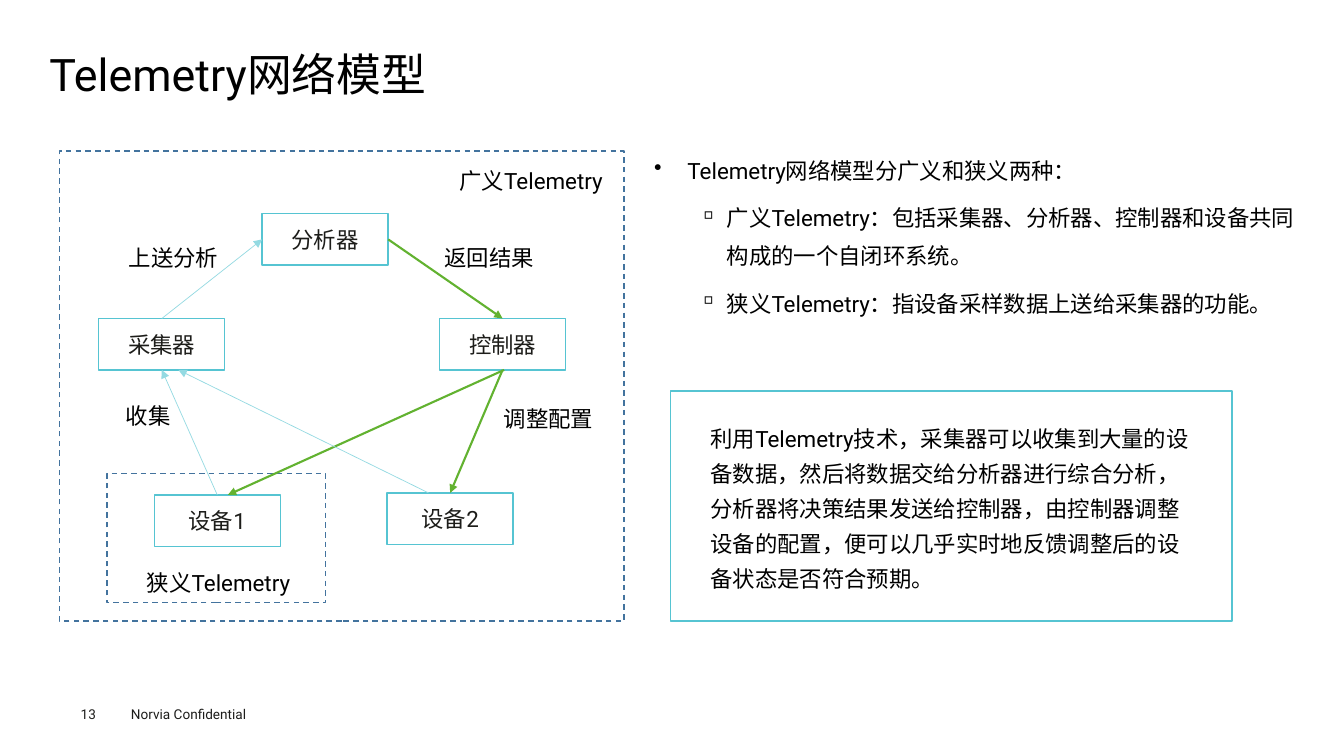
from lxml import etree
from pptx import Presentation
from pptx import util as u
from pptx.dml.color import RGBColor
from pptx.enum import dml, shapes, text
from pptx.oxml.ns import qn

FONT = "Roboto"
COLORS = {
    "text": "000000",
    "node_text": "1D1D1A",
    "footer": "1D1D1B",
    "scope": "43739E",
    "box": "56C4D2",
    "report": "94DAE2",
    "control": "62B230",
}
NODE_SIZE = (1.25, 0.51)
NODES = {
    "分析器": (2.6, 2.12),
    "控制器": (4.36, 3.16),
    "采集器": (0.98, 3.16),
    "设备1": (1.53, 4.91),
    "设备2": (3.84, 4.89),
}
TOP, LEFT, BOTTOM, RIGHT = range(4)
FLOWS = [
    (("采集器", TOP), ("分析器", LEFT), "report", 0.5),
    (("分析器", RIGHT), ("控制器", TOP), "control", 1.5),
    ((5, 3.67), (2.26, 4.91), "control", 1.5),
    (("控制器", BOTTOM), ("设备2", TOP), "control", 1.5),
    (("设备1", TOP), ("采集器", BOTTOM), "report", 0.5),
    ((4.25, 4.89), (1.77, 3.67), "report", 0.5),
]
SCOPES = [(0.59, 1.5, 5.6, 4.66), (1.06, 4.7, 2.17, 1.28)]
LABELS = [
    ("广义Telemetry", 4.46, 1.61, 2.03),
    ("狭义Telemetry", 1.36, 5.6, 2.03),
    ("收集", 1.15, 3.94, 1.91),
    ("上送分析", 1.18, 2.37, 1.91),
    ("返回结果", 4.31, 2.37, 1.91),
    ("调整配置", 4.9, 3.97, 1.91),
]
BULLETS = [
    (0, "Telemetry网络模型分广义和狭义两种："),
    (1, "广义Telemetry：包括采集器、分析器、控制器和设备共同构成的一个自闭环系统。"),
    (1, "狭义Telemetry：指设备采样数据上送给采集器的功能。"),
]
BULLET_STYLES = [("•", 0.33, -0.33), ("▫", 0.72, -0.28)]
SUMMARY = (
    "利用Telemetry技术，采集器可以收集到大量的设备数据，然后将数据交给分析器进行综合分析，"
    "分析器将决策结果发送给控制器，由控制器调整设备的配置，"
    "便可以几乎实时地反馈调整后的设备状态是否符合预期。"
)
NO_INSETS = dict.fromkeys(("margin_left", "margin_top", "margin_right", "margin_bottom"), 0)


def apply(obj, values):
    for name, value in values.items():
        setattr(obj, name, value)


def inches(values):
    return [u.Inches(v) for v in values]


def rgb(name):
    return RGBColor.from_string(COLORS[name])


def write(p, content, size=16, color="text", **paragraph):
    apply(p, paragraph)
    r = p.add_run()
    r.text = content
    apply(r.font, {"name": FONT, "size": u.Pt(size)})
    r.font.color.rgb = rgb(color)


def add_text(slide, box, content, frame=None, **style):
    tf = slide.shapes.add_textbox(*inches(box)).text_frame
    apply(tf, {"word_wrap": True, **(frame or {})})
    write(tf.paragraphs[0], content, **style)


def add_box(slide, box, color, dash=None):
    sp = slide.shapes.add_shape(shapes.MSO_SHAPE.RECTANGLE, *inches(box))
    sp.shadow.inherit = False
    sp.fill.background()
    sp.line.color.rgb = rgb(color)
    apply(sp.line, {"width": u.Pt(1), "dash_style": dash})
    return sp


def add_node(slide, name, position):
    sp = add_box(slide, (*position, *NODE_SIZE), "box")
    tf = sp.text_frame
    apply(tf, {**NO_INSETS, "vertical_anchor": text.MSO_ANCHOR.MIDDLE})
    write(tf.paragraphs[0], name, color="node_text", alignment=text.PP_ALIGN.CENTER)
    return sp


def add_flow(slide, nodes, start, end, color, width):
    points = [(0, 0) if e[0] in nodes else e for e in (start, end)]
    line = slide.shapes.add_connector(
        shapes.MSO_CONNECTOR.STRAIGHT, *inches(points[0] + points[1]))
    for e, connect in ((start, line.begin_connect), (end, line.end_connect)):
        if e[0] in nodes:
            connect(nodes[e[0]], e[1])
    line.line.color.rgb = rgb(color)
    line.line.width = u.Pt(width)
    etree.SubElement(line.line._get_or_add_ln(), qn("a:tailEnd"), type="triangle")
    etree.SubElement(line._element.spPr, qn("a:effectLst"))


def add_bullets(slide, box, items):
    tf = slide.shapes.add_textbox(*inches(box)).text_frame
    tf.word_wrap = True
    for i, (level, content) in enumerate(items):
        p = tf.add_paragraph() if i else tf.paragraphs[0]
        char, margin, indent = BULLET_STYLES[level]
        pPr = p._p.get_or_add_pPr()
        apply_indent = {"marL": margin, "indent": indent}
        for name, value in apply_indent.items():
            pPr.set(name, str(u.Inches(value)))
        etree.SubElement(pPr, qn("a:buChar"), char=char)
        write(p, content, level=level, line_spacing=1.4,
              space_before=u.Pt(7.2 if i else 0))


def set_title(slide, content):
    title = slide.shapes.title
    box = inches((0.49, 0.49, 12.35, 0.54))
    apply(title, dict(zip(("left", "top", "width", "height"), box)))
    tf = title.text_frame
    apply(tf, {**NO_INSETS, "vertical_anchor": text.MSO_ANCHOR.MIDDLE,
               "auto_size": text.MSO_AUTO_SIZE.NONE})
    write(tf.paragraphs[0], content, size=32,
          alignment=text.PP_ALIGN.LEFT, line_spacing=0.9)


def main():
    prs = Presentation()
    apply(prs, {"slide_width": u.Inches(13.33), "slide_height": u.Inches(7.5)})
    slide = prs.slides.add_slide(prs.slide_layouts[5])
    set_title(slide, "Telemetry网络模型")
    add_bullets(slide, (6.39, 1.4, 6.55, 2.27), BULLETS)

    for box in SCOPES:
        add_box(slide, box, "scope", dml.MSO_LINE.DASH)
    nodes = {name: add_node(slide, name, at) for name, at in NODES.items()}
    for flow in FLOWS:
        add_flow(slide, nodes, *flow)
    for content, left, top, width in LABELS:
        add_text(slide, (left, top, width, 0.37), content)

    add_box(slide, (6.65, 3.88, 5.57, 2.28), "box")
    add_text(slide, (6.95, 4.09, 5.06, 1.85), SUMMARY, line_spacing=1.3)

    add_text(slide, (0.8, 7, 0.55, 0.16), "13", NO_INSETS, size=9.7, color="footer")
    add_text(slide, (1.2, 6.95, 1.6, 0.27), "Norvia Confidential", size=9.7, color="footer")
    prs.save("out.pptx")


if __name__ == "__main__":
    main()
